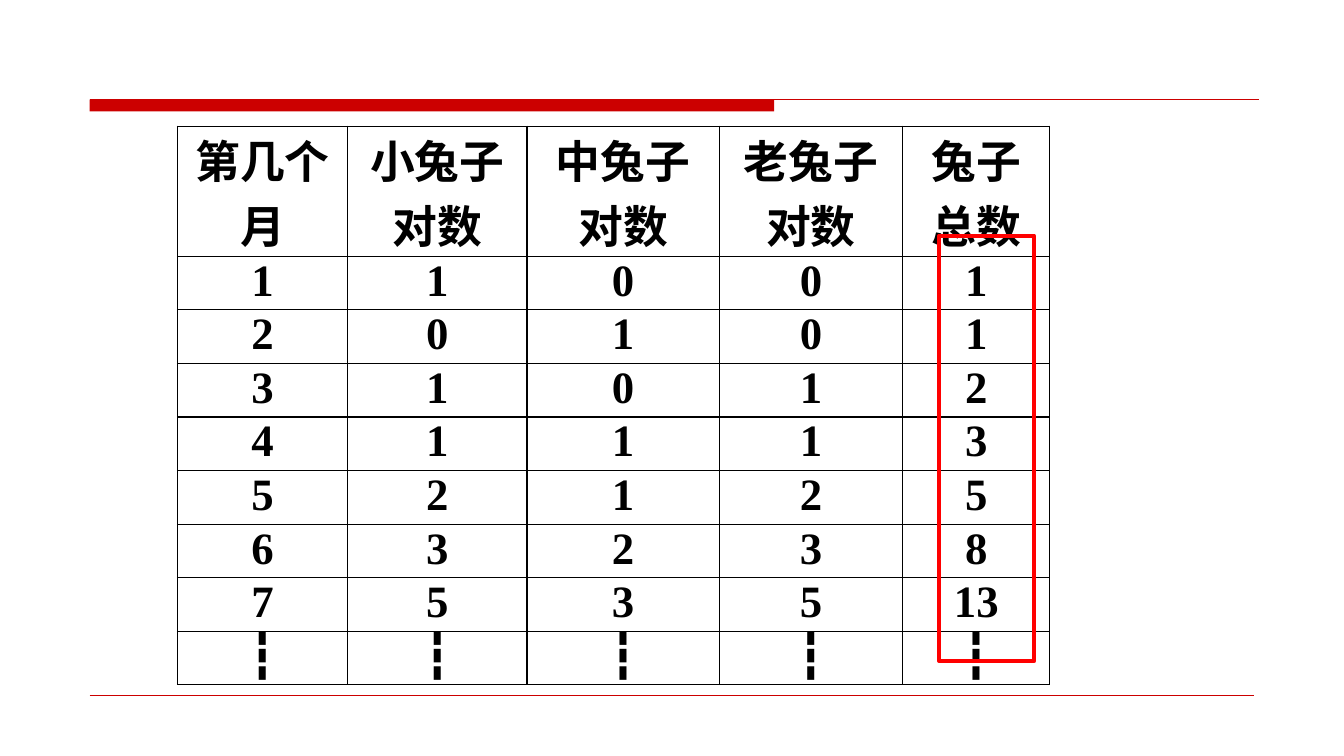
"""Build the slide that counts rabbit pairs month by month."""
from dataclasses import dataclass

import lxml.etree
import pptx
import pptx.dml.color
import pptx.enum.shapes
import pptx.enum.text
import pptx.oxml.ns
import pptx.slide
import pptx.table
import pptx.util

Cm = pptx.util.Cm
Pt = pptx.util.Pt


@dataclass(frozen=True)
class Theme:
    font: str = "Times New Roman"
    size: int = 32
    ink: str = "000000"
    rule: str = "CC0000"
    mark: str = "FF0000"


@dataclass(frozen=True)
class Rule:
    left: float
    right: float
    top: float
    width: float


@dataclass(frozen=True)
class Box:
    left: float
    top: float
    width: float
    height: float
    fill: str | None = None
    line: str | None = None


THEME = Theme()
RULES = [Rule(2.26, 31.72, 2.51, 0.75), Rule(2.26, 31.6, 17.53, 0.25)]
BAR = Box(2.26, 2.51, 17.25, 0.3, fill=THEME.rule)
FRAME = Box(23.67, 5.94, 2.39, 10.72, line=THEME.mark)
COLS = [4.29, 4.52, 4.85, 4.62, 3.71]
ROW = 1.35
HEAD = ["第几个月", "小兔子对数", "中兔子对数", "老兔子对数", "兔子总数"]
PAIRS = [
    (1, 0, 0, 1),
    (0, 1, 0, 1),
    (1, 0, 1, 2),
    (1, 1, 1, 3),
    (2, 1, 2, 5),
    (3, 2, 3, 8),
    (5, 3, 5, 13),
]


def tint(code: str) -> pptx.dml.color.RGBColor:
    return pptx.dml.color.RGBColor.from_string(code)


def draw_rule(slide: pptx.slide.Slide, rule: Rule) -> None:
    kind = pptx.enum.shapes.MSO_CONNECTOR.STRAIGHT
    line = slide.shapes.add_connector(
        kind, Cm(rule.left), Cm(rule.top), Cm(rule.right), Cm(rule.top))
    line.line.color.rgb = tint(THEME.rule)
    line.line.width = Pt(rule.width)
    props = line._element.spPr
    lxml.etree.SubElement(props, pptx.oxml.ns.qn("a:effectLst"))


def draw_box(slide: pptx.slide.Slide, box: Box) -> None:
    kind = pptx.enum.shapes.MSO_SHAPE.RECTANGLE
    shape = slide.shapes.add_shape(
        kind, Cm(box.left), Cm(box.top), Cm(box.width), Cm(box.height))
    shape.shadow.inherit = False
    if box.fill:
        shape.fill.solid()
        shape.fill.fore_color.rgb = tint(box.fill)
    else:
        shape.fill.background()
    if box.line:
        shape.line.color.rgb = tint(box.line)
        shape.line.width = Pt(3)
    else:
        shape.line.fill.background()


def add_edges(cell: pptx.table._Cell) -> None:
    qn = pptx.oxml.ns.qn
    props = cell._tc.get_or_add_tcPr()
    for spot, side in enumerate("LRTB"):
        edge = lxml.etree.Element(qn(f"a:ln{side}"), w=str(Pt(1)))
        fill = lxml.etree.SubElement(edge, qn("a:solidFill"))
        lxml.etree.SubElement(fill, qn("a:srgbClr"), val=THEME.ink)
        props.insert(spot, edge)


def fill_cell(cell: pptx.table._Cell, text: str) -> None:
    cell.fill.background()
    cell.margin_left = cell.margin_right = Cm(0.18)
    cell.margin_top = cell.margin_bottom = Cm(0)
    add_edges(cell)
    para = cell.text_frame.paragraphs[0]
    para.alignment = pptx.enum.text.PP_ALIGN.CENTER
    run = para.add_run()
    run.text = text
    run.font.name = THEME.font
    run.font.size = Pt(THEME.size)
    run.font.bold = True
    run.font.color.rgb = tint(THEME.ink)


def draw_table(slide: pptx.slide.Slide) -> None:
    months = [[str(num) for num in (month, *pairs)]
              for month, pairs in enumerate(PAIRS, 1)]
    rows = [HEAD, *months, ["┇"] * len(HEAD)]
    table = slide.shapes.add_table(
        len(rows), len(COLS), Cm(4.47), Cm(3.18),
        Cm(sum(COLS)), Cm(ROW * len(rows))).table
    table.first_row = table.horz_banding = False
    for col, width in zip(table.columns, COLS):
        col.width = Cm(width)
    for row, texts in zip(table.rows, rows):
        row.height = Cm(ROW)
        for cell, text in zip(row.cells, texts):
            fill_cell(cell, text)


def main() -> None:
    deck = pptx.Presentation()
    deck.slide_width, deck.slide_height = Cm(33.87), Cm(19.05)
    slide = deck.slides.add_slide(deck.slide_layouts[6])
    draw_box(slide, BAR)
    for rule in RULES:
        draw_rule(slide, rule)
    draw_table(slide)
    draw_box(slide, FRAME)
    deck.save("out.pptx")


if __name__ == "__main__":
    main()
